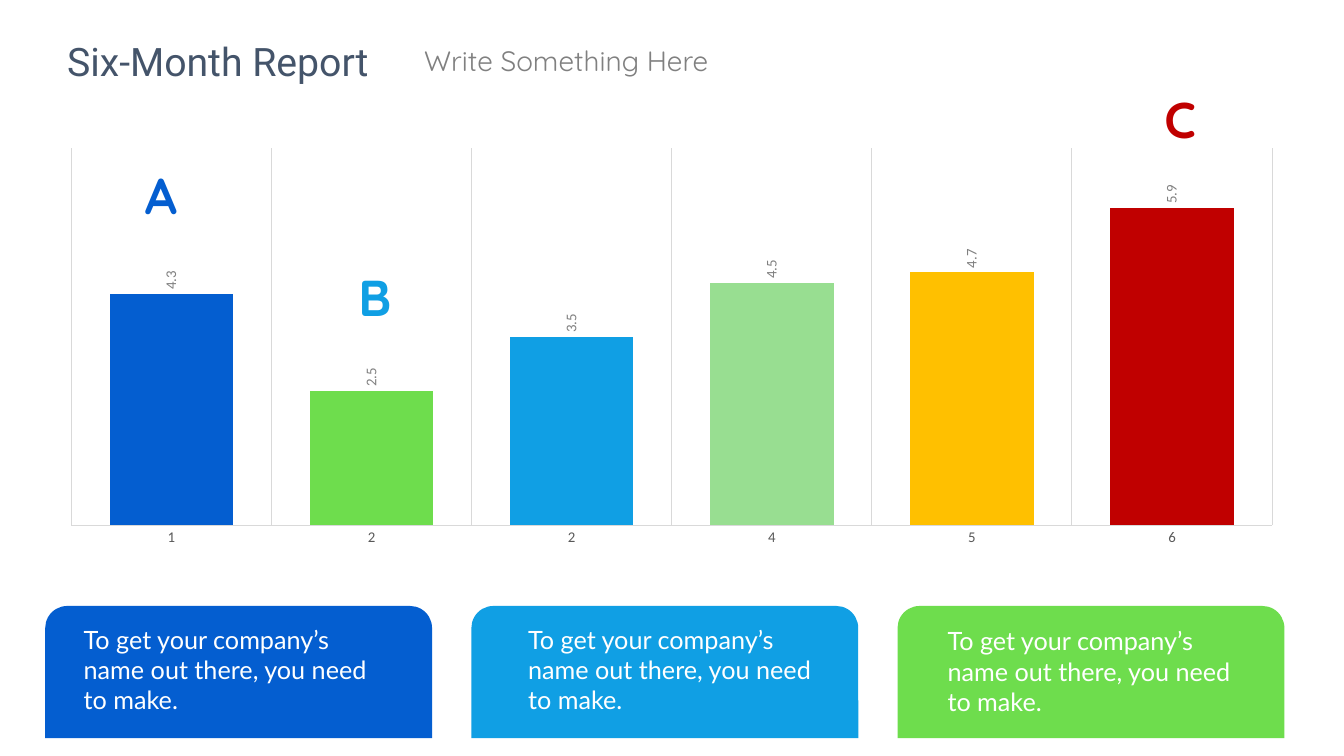
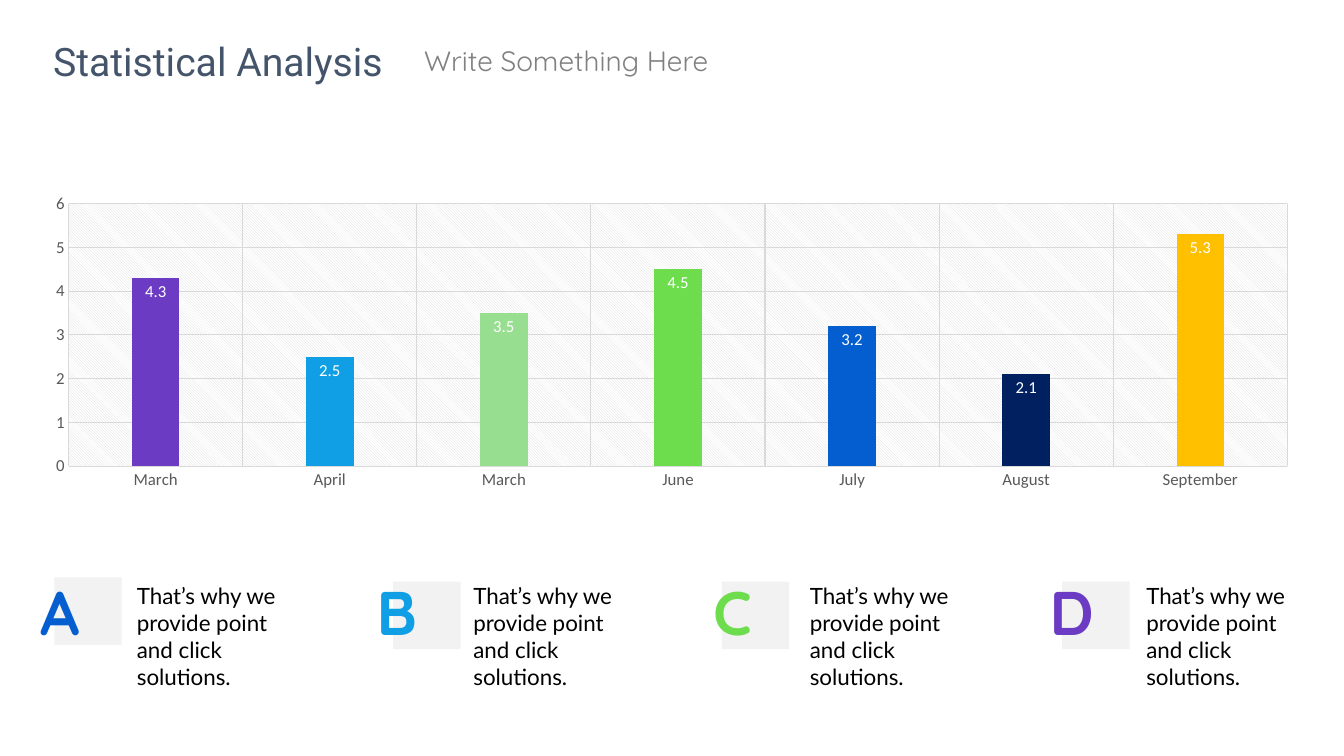
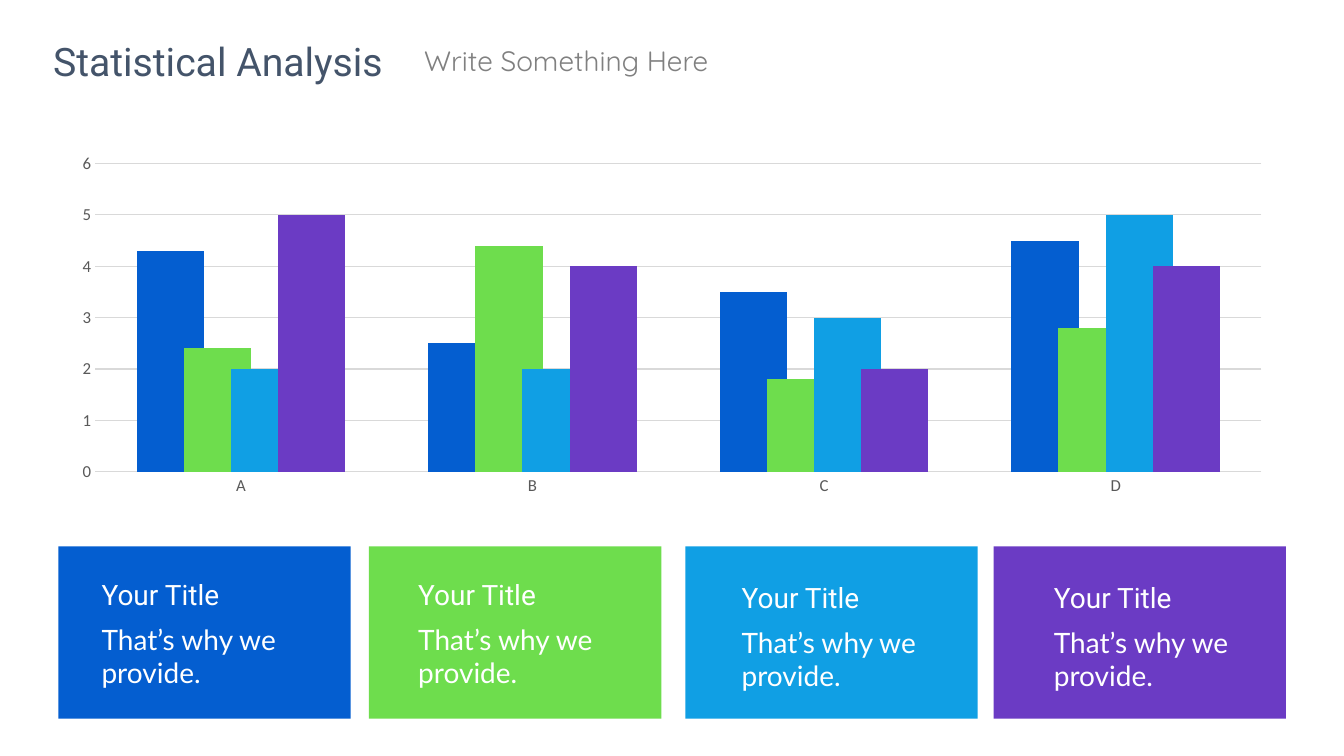
from dataclasses import dataclass

from pptx import Presentation
from pptx.chart.data import CategoryChartData
from pptx.dml.color import RGBColor
from pptx.enum.chart import XL_CHART_TYPE, XL_LABEL_POSITION, XL_TICK_MARK
from pptx.enum.shapes import MSO_SHAPE
from pptx.enum.text import MSO_ANCHOR, MSO_AUTO_SIZE, PP_ALIGN
from pptx.oxml import parse_xml
from pptx.oxml.ns import nsdecls
from pptx.util import Cm, Pt

COLUMNS = XL_CHART_TYPE.COLUMN_CLUSTERED
OUTSIDE, INSIDE = XL_LABEL_POSITION.OUTSIDE_END, XL_LABEL_POSITION.INSIDE_END
NO_TICK = XL_TICK_MARK.NONE
RECTANGLE, ROUND_TOP = MSO_SHAPE.RECTANGLE, MSO_SHAPE.ROUND_2_SAME_RECTANGLE
LEFT, CENTER = PP_ALIGN.LEFT, PP_ALIGN.CENTER
TOP = MSO_ANCHOR.TOP
GROW = MSO_AUTO_SIZE.SHAPE_TO_FIT_TEXT
TITLE_ONLY = 5


@dataclass(frozen=True)
class Theme:
    blue: str = "045ED0"
    sky: str = "109FE4"
    green: str = "6EDD4D"
    mint: str = "98DE91"
    yellow: str = "FFC000"
    red: str = "C00000"
    purple: str = "6B3BC4"
    navy: str = "002060"
    slate: str = "44546A"
    gray: str = "808080"
    axis: str = "595959"
    grid: str = "D9D9D9"
    pale: str = "F2F2F2"
    white: str = "FFFFFF"
    black: str = "000000"
    heading_font: str = "Roboto"
    accent_font: str = "Quicksand"
    body_font: str = "Lato"
    chart_font: str = "Calibri"
    title_size: float = 28
    subtitle_size: float = 20
    panel_size: float = 18
    note_size: float = 16
    letter_size: float = 36
    big_letter_size: float = 44
    axis_size: float = 12
    small_axis_size: float = 10.6


theme = Theme()


def add_text(slide, text, box, shape=None, font=theme.body_font, size=theme.subtitle_size,
             color=theme.white, bold=False, align=LEFT, insets=(0.25, 0.13)):
    """Write text into a new text box, or into the given placeholder, at box (cm)."""
    lengths = [Cm(value) for value in box]
    if shape is None:
        shape = slide.shapes.add_textbox(*lengths)
    shape.left, shape.top, shape.width, shape.height = lengths
    frame = shape.text_frame
    frame.word_wrap = True
    frame.auto_size = GROW
    frame.vertical_anchor = TOP
    frame.margin_left = frame.margin_right = Cm(insets[0])
    frame.margin_top = frame.margin_bottom = Cm(insets[1])
    paragraph = frame.paragraphs[0]
    paragraph.alignment = align
    run = paragraph.add_run()
    run.text = text
    run.font.name = font
    run.font.size = Pt(size)
    run.font.bold = bold
    run.font.color.rgb = RGBColor.from_string(color)


def add_column_chart(slide, box, plot_box, categories, series, gap, overlap, maximum,
                     size=theme.axis_size, point_colors=(), label=None, label_color=theme.white,
                     category_grid=True, value_axis_shown=True):
    """Add a column chart at box (cm); plot_box holds fractions of the chart."""
    data = CategoryChartData()
    data.categories = categories
    for name, values, _ in series:
        data.add_series(name, values)
    chart = slide.shapes.add_chart(COLUMNS, *[Cm(value) for value in box], data).chart
    chart.has_legend = chart.has_title = False
    chart.font.name = theme.chart_font
    chart.font.size = Pt(size)
    chart.font.color.rgb = RGBColor.from_string(theme.axis)

    # Columns
    plot = chart.plots[0]
    plot.vary_by_categories = False
    plot.gap_width, plot.overlap = gap, overlap
    for columns, (_, _, color) in zip(plot.series, series):
        columns.invert_if_negative = False
        columns.format.fill.solid()
        columns.format.fill.fore_color.rgb = RGBColor.from_string(color)
    for index, color in enumerate(point_colors):
        fill = plot.series[0].points[index].format.fill
        fill.solid()
        fill.fore_color.rgb = RGBColor.from_string(color)
    if label is not None:
        plot.has_data_labels = True
        plot.data_labels.show_value = True
        plot.data_labels.position = label
        plot.data_labels.font.name = theme.chart_font
        plot.data_labels.font.size = Pt(size)
        plot.data_labels.font.color.rgb = RGBColor.from_string(label_color)

    # Axes and grid
    category_axis, value_axis = chart.category_axis, chart.value_axis
    category_axis.has_major_gridlines = category_grid
    value_axis.has_major_gridlines = value_axis_shown
    value_axis.visible = value_axis_shown
    value_axis.minimum_scale, value_axis.maximum_scale = 0, maximum
    value_axis.major_unit = 1
    value_axis.format.line.fill.background()
    lines = [category_axis.format.line]
    for axis in (category_axis, value_axis):
        axis.major_tick_mark = axis.minor_tick_mark = NO_TICK
        if axis.has_major_gridlines:
            lines.append(axis.major_gridlines.format.line)
    for line in lines:
        line.color.rgb = RGBColor.from_string(theme.grid)
        line.width = Pt(0.75)

    # Inner plot position
    plot_area = chart._chartSpace.xpath("c:chart/c:plotArea")[0]
    for layout in plot_area.xpath("c:layout"):
        plot_area.remove(layout)
    places = "".join(f'<c:{key} val="{value}"/>' for key, value in zip("xywh", plot_box))
    plot_area.insert(0, parse_xml(
        f'<c:layout {nsdecls("c")}><c:manualLayout><c:layoutTarget val="inner"/>'
        f'<c:xMode val="edge"/><c:yMode val="edge"/>{places}</c:manualLayout></c:layout>'))
    return chart, plot_area


presentation = Presentation()
presentation.slide_width, presentation.slide_height = Cm(33.87), Cm(19.05)

# Title, panel shape, panel width and height, then left, top and colour of each panel
slide_plans = [
    ("Six-Month Report", ROUND_TOP, 9.75, 3.33,
     [(1.14 + 10.74 * index, 15.27, color)
      for index, color in enumerate((theme.blue, theme.sky, theme.green))]),
    ("Statistical Analysis", RECTANGLE, 1.7, 1.7,
     [(1.37, 14.55, theme.pale), (9.91, 14.66, theme.pale),
      (18.19, 14.66, theme.pale), (26.77, 14.66, theme.pale)]),
    ("Statistical Analysis", RECTANGLE, 7.37, 4.34,
     [(1.47, 13.77, theme.blue), (9.3, 13.77, theme.green),
      (17.27, 13.77, theme.sky), (25.04, 13.77, theme.purple)]),
]

# Headers and panels of all slides
slides = []
for title, panel_kind, width, height, panels in slide_plans:
    slide = presentation.slides.add_slide(presentation.slide_layouts[TITLE_ONLY])
    slides.append(slide)
    add_text(slide, title, (1.02, 0.81, 8.94, 1.45), shape=slide.shapes.title,
             font=theme.heading_font, size=theme.title_size, color=theme.slate, align=CENTER)
    add_text(slide, "Write Something Here", (10.44, 0.97, 10.16, 1.12),
             font=theme.accent_font, color=theme.gray)
    for left, top, color in panels:
        panel = slide.shapes.add_shape(panel_kind, Cm(left), Cm(top), Cm(width), Cm(height))
        panel.shadow.inherit = False
        panel.fill.solid()
        panel.fill.fore_color.rgb = RGBColor.from_string(color)
        panel.line.fill.background()

report_slide, months_slide, groups_slide = slides

# Six-month report: chart with upright value labels
report_chart, _ = add_column_chart(
    report_slide, (1.17, 3.53, 31.52, 10.49), (0.02, 0.02, 0.96, 0.905),
    ["1", "2", "2", "4", "5", "6"],
    [("Series 1", (4.3, 2.5, 3.5, 4.5, 4.7, 5.9), theme.blue)],
    gap=62, overlap=-100, maximum=7, size=theme.small_axis_size,
    point_colors=(theme.blue, theme.green, theme.sky, theme.mint, theme.yellow, theme.red),
    label=OUTSIDE, label_color=theme.gray, value_axis_shown=False)
label_body = report_chart._chartSpace.xpath(".//c:dLbls/c:txPr/a:bodyPr")[0]
label_body.set("rot", "-5400000")
label_body.set("vert", "horz")

# Six-month report: panel texts and letters
for left, top in ((1.5, 15.42), (12.7, 15.42), (23.27, 15.47)):
    add_text(report_slide, "To get your company’s name out there, you need to make.",
             (left, top, 8.46, 2.92), size=theme.panel_size, insets=(0.61, 0.3))
for letter, left, top, color in (("A", 2.97, 4.01, theme.blue), ("B", 8.36, 6.58, theme.sky),
                                 ("C", 28.65, 2.08, theme.red)):
    add_text(report_slide, letter, (left, top, 2.18, 1.8), font=theme.accent_font,
             size=theme.letter_size, color=color, bold=True, align=CENTER)

# Monthly analysis: chart on a hatched plot area
_, months_plot_area = add_column_chart(
    months_slide, (0.76, 4.72, 32.33, 7.8), (0.03, 0.053, 0.95, 0.848),
    ["March", "April", "March", "June", "July", "August", "September"],
    [("Series 1", (4.3, 2.5, 3.5, 4.5, 3.2, 2.1, 5.3), theme.purple)],
    gap=267, overlap=-43, maximum=6, label=INSIDE,
    point_colors=(theme.purple, theme.sky, theme.mint, theme.green, theme.blue,
                  theme.navy, theme.yellow))
months_plot_area.append(parse_xml(
    f'<c:spPr {nsdecls("c", "a")}><a:pattFill prst="ltDnDiag">'
    f'<a:fgClr><a:srgbClr val="{theme.grid}"/></a:fgClr>'
    f'<a:bgClr><a:srgbClr val="{theme.white}"/></a:bgClr></a:pattFill></c:spPr>'))

# Monthly analysis: lettered notes
for index, (letter, color) in enumerate(zip("ABCD", (theme.blue, theme.sky, theme.green,
                                                     theme.purple))):
    left = 0.76 + 8.48 * index
    add_text(months_slide, letter, (left, 14.33, 1.24, 2.13), font=theme.accent_font,
             size=theme.big_letter_size, color=color, bold=True, align=CENTER)
    add_text(months_slide, "That’s why we provide point and click solutions.",
             (left + 2.44, 14.55, 4.47, 3), size=theme.note_size, color=theme.black)

# Grouped analysis: chart
add_column_chart(
    groups_slide, (1.47, 3.71, 30.94, 8.97), (0.03, 0.046, 0.95, 0.866), list("ABCD"),
    [("Series 1", (4.3, 2.5, 3.5, 4.5), theme.blue),
     ("Series 2", (2.4, 4.4, 1.8, 2.8), theme.green),
     ("Series 3", (2, 2, 3, 5), theme.sky),
     ("Series 4", (5, 4, 2, 4), theme.purple)],
    gap=123, overlap=30, maximum=6, category_grid=False)

# Grouped analysis: panel texts
for left, top in ((2.31, 14.43), (10.29, 14.43), (18.44, 14.5), (26.31, 14.5)):
    add_text(groups_slide, "Your Title", (left, top, 4.22, 1.12), font=theme.heading_font)
    add_text(groups_slide, "That’s why we provide.", (left, top + 1.12, 6.05, 1.96))

presentation.save("out.pptx")
